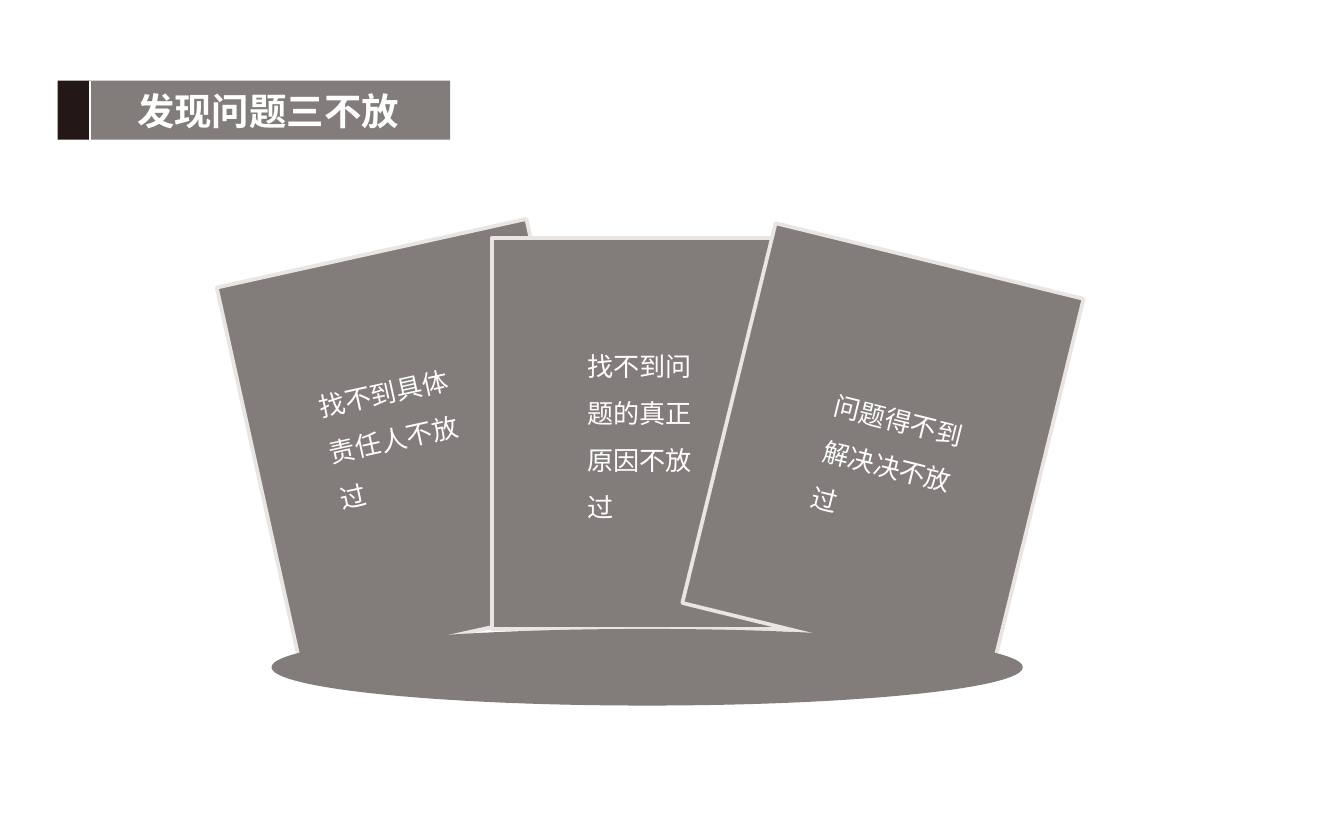
from lxml.etree import SubElement
from pptx import Presentation
from pptx.dml.color import RGBColor
from pptx.enum.shapes import MSO_CONNECTOR, MSO_SHAPE
from pptx.enum.text import MSO_ANCHOR, MSO_AUTO_SIZE, PP_ALIGN
from pptx.oxml.ns import qn
from pptx.util import Pt

PX = 9144  # 100 px to the inch
COLORS = {
    "gray": RGBColor.from_string("827C7A"),
    "edge": RGBColor.from_string("E9E5E2"),
    "black": RGBColor.from_string("231815"),
    "white": RGBColor.from_string("FFFFFF"),
}
CARD_WIDTH, CARD_HEIGHT = 236, 291


def add_block(kind, left, top, width, height, color):
    block = slide.shapes.add_shape(kind, left * PX, top * PX, width * PX, height * PX)
    block.shadow.inherit = False
    block.fill.solid()
    block.fill.fore_color.rgb = COLORS[color]
    block.line.fill.background()
    return block


def style_text(para, font, size, bold=False):
    for span in para.runs:
        span.font.name = font
        span.font.size = Pt(size)
        span.font.bold = bold
        span.font.color.rgb = COLORS["white"]
        SubElement(span.font._element, qn("a:ea")).set("typeface", "Noto Sans CJK SC")


deck = Presentation()
deck.slide_width, deck.slide_height = 1000 * PX, 625 * PX
slide = deck.slides.add_slide(deck.slide_layouts[5])

# Title band
title = slide.shapes.title
title.left, title.top, title.width, title.height = 67 * PX, 60 * PX, 268 * PX, 44 * PX
title.fill.solid()
title.fill.fore_color.rgb = COLORS["gray"]
frame = title.text_frame
frame.text = "发现问题三不放"
frame.auto_size = MSO_AUTO_SIZE.NONE
frame.vertical_anchor = MSO_ANCHOR.MIDDLE
frame.margin_left = 35 * PX
frame.paragraphs[0].alignment = PP_ALIGN.LEFT
style_text(frame.paragraphs[0], "Calibri", 20, bold=True)

# Black tab and white divider
add_block(MSO_SHAPE.RECTANGLE, 43, 60, 24, 44, "black")
divider = slide.shapes.add_connector(
    MSO_CONNECTOR.STRAIGHT, 67 * PX, 60 * PX, 67 * PX, 104 * PX)
divider.line.color.rgb = COLORS["white"]
divider.line.width = Pt(0.75)
SubElement(divider._element.spPr, qn("a:effectLst"))

# Three fanned cards
for left, top, angle in [(190, 185, -12.5), (366, 177, 0), (539, 190, 13.8)]:
    card = add_block(MSO_SHAPE.RECTANGLE, left, top, CARD_WIDTH, CARD_HEIGHT, "gray")
    card.rotation = angle
    card.line.color.rgb = COLORS["edge"]
    card.line.width = Pt(2)

# Base in front of the cards
add_block(MSO_SHAPE.OVAL, 202, 468, 559, 57, "gray")

# Card texts
card_texts = [
    ("找不到具体责任人不放过", 233, 263, 123, 115, -12.5),
    ("找不到问题的真正原因不放过", 427, 244, 108, 150, 0),
    ("问题得不到解决决不放过", 603, 284, 118, 115, 14),
]
for text, left, top, width, height, angle in card_texts:
    box = slide.shapes.add_textbox(left * PX, top * PX, width * PX, height * PX)
    box.rotation = angle
    box.text_frame.word_wrap = True
    box.text_frame.text = text
    para = box.text_frame.paragraphs[0]
    para.line_spacing = 1.5
    style_text(para, "Noto Sans CJK SC", 14)

deck.save("out.pptx")
